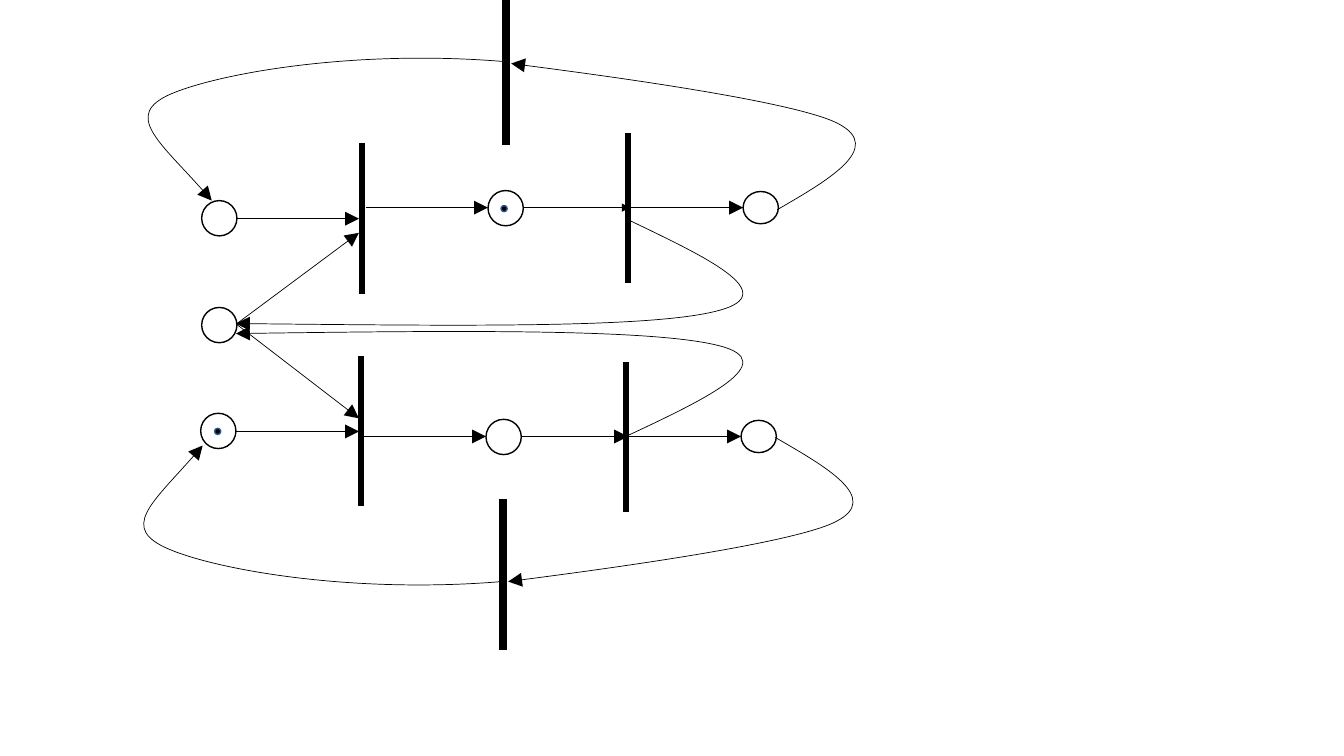
from lxml import etree
from pptx import Presentation
from pptx.dml.color import RGBColor
from pptx.enum.shapes import MSO_CONNECTOR, MSO_SHAPE
from pptx.oxml.ns import qn
from pptx.util import Pt

PX = 9144  # EMU per px, 100 px to the inch
OVAL, BAR = MSO_SHAPE.OVAL, MSO_SHAPE.RECTANGLE
STRAIGHT = MSO_CONNECTOR.STRAIGHT
THEME = {
    "ink": RGBColor(0x00, 0x00, 0x00),
    "paper": RGBColor(0xFF, 0xFF, 0xFF),
    "token_rim": RGBColor(0x32, 0x54, 0x91),
    "outline": Pt(1),
    "arc": Pt(0.5),
}
EXTENT_STEPS = 40

deck = Presentation()
deck.slide_width, deck.slide_height = 1333 * PX, 750 * PX
page = deck.slides.add_slide(deck.slide_layouts[6])


def add_node(kind, left, top, width, height, fill="ink", rim="ink", turn=0):
    """Add a filled shape with a sharp-cornered outline."""
    node = page.shapes.add_shape(kind, left * PX, top * PX, width * PX, height * PX)
    node.rotation = turn
    node.shadow.inherit = False
    node.fill.solid()
    node.fill.fore_color.rgb = THEME[fill]
    node.line.color.rgb = THEME[rim]
    node.line.width = THEME["outline"]
    etree.SubElement(node.line._get_or_add_ln(), qn("a:miter"), lim="800000")


def style_arc(arc, head="lg"):
    """Give a line or curve a thin stroke and an arrowhead at its end."""
    arc.line.color.rgb = THEME["ink"]
    arc.line.width = THEME["arc"]
    etree.SubElement(arc.line._get_or_add_ln(), qn("a:tailEnd"),
                     type="triangle", w=head, len=head)
    etree.SubElement(arc._element.spPr, qn("a:effectLst"))


# Transitions: flat bars turned upright
for left, top, height, turn in [(285, 214, 5, 270), (284, 425, 5, 270), (549, 204, 5, 270),
                                (428, 66, 6, 270), (547, 431, 5, 90), (425, 567, 6, 90)]:
    add_node(BAR, left, top, 148, height, turn=turn)

# Places: left, top, height
for left, top, height in [(200, 199, 35), (200, 305, 35), (199, 410, 35), (484, 189, 35),
                          (482, 416, 35), (737, 190, 32), (735, 417, 32)]:
    add_node(OVAL, left, top, 35, height, fill="paper")

# Tokens
for left, top in [(497, 204), (213, 425)]:
    add_node(OVAL, left, top, 6, 6, rim="token_rim")

# Straight arcs: from x, from y, to x, to y, head size
for x1, y1, x2, y2, head in [
    (235, 217, 356, 217, "lg"),
    (235, 321, 356, 231, "lg"),
    (235, 322, 356, 415, "lg"),
    (234, 428, 356, 428, "lg"),
    (363, 206, 484, 206, "lg"),
    (519, 206, 625, 206, "med"),
    (625, 206, 737, 206, "lg"),
    (361, 433, 482, 433, "lg"),
    (517, 433, 623, 433, "lg"),
    (623, 433, 735, 433, "lg"),
]:
    style_arc(page.shapes.add_connector(
        STRAIGHT, x1 * PX, y1 * PX, x2 * PX, y2 * PX), head)

# Curved arcs: start, then two controls and an end for each cubic segment
for points in [
    [(771, 208), (821, 179), (877, 147), (832, 123), (788, 99), (507, 63), (507, 63)],
    [(499, 61), (353, 49), (220, 72), (170, 93), (121, 114), (163, 144), (210, 199)],
    [(623, 218), (700, 255), (777, 291), (713, 308), (648, 326), (441, 323), (234, 321)],
    [(769, 434), (819, 463), (874, 494), (830, 517), (786, 541), (504, 577), (504, 577)],
    [(497, 577), (351, 589), (218, 566), (168, 545), (118, 524), (154, 497), (201, 442)],
    [(623, 432), (700, 396), (777, 359), (713, 343), (648, 326), (441, 328), (234, 331)],
]:
    # Points along the curve fix the frame of the freeform
    track = []
    for first in range(0, len(points) - 1, 3):
        segment = points[first:first + 4]
        for step in range(1, EXTENT_STEPS + 1):
            t = step / EXTENT_STEPS
            weights = ((1 - t) ** 3, 3 * t * (1 - t) ** 2, 3 * t ** 2 * (1 - t), t ** 3)
            track.append(tuple(
                round(PX * sum(w * point[axis] for w, point in zip(weights, segment)))
                for axis in (0, 1)))
    builder = page.shapes.build_freeform(points[0][0] * PX, points[0][1] * PX)
    builder.add_line_segments(track, close=False)
    curve = builder.convert_to_shape()

    # The outline itself is made of cubic segments
    outline = next(curve._element.iter(qn("a:path")))
    for line_step in outline.findall(qn("a:lnTo")):
        outline.remove(line_step)
    for index, (x, y) in enumerate(points[1:]):
        if index % 3 == 0:
            cubic = etree.SubElement(outline, qn("a:cubicBezTo"))
        etree.SubElement(cubic, qn("a:pt"),
                         x=str(x * PX - curve.left), y=str(y * PX - curve.top))
    curve.fill.background()
    style_arc(curve)

deck.save("out.pptx")
